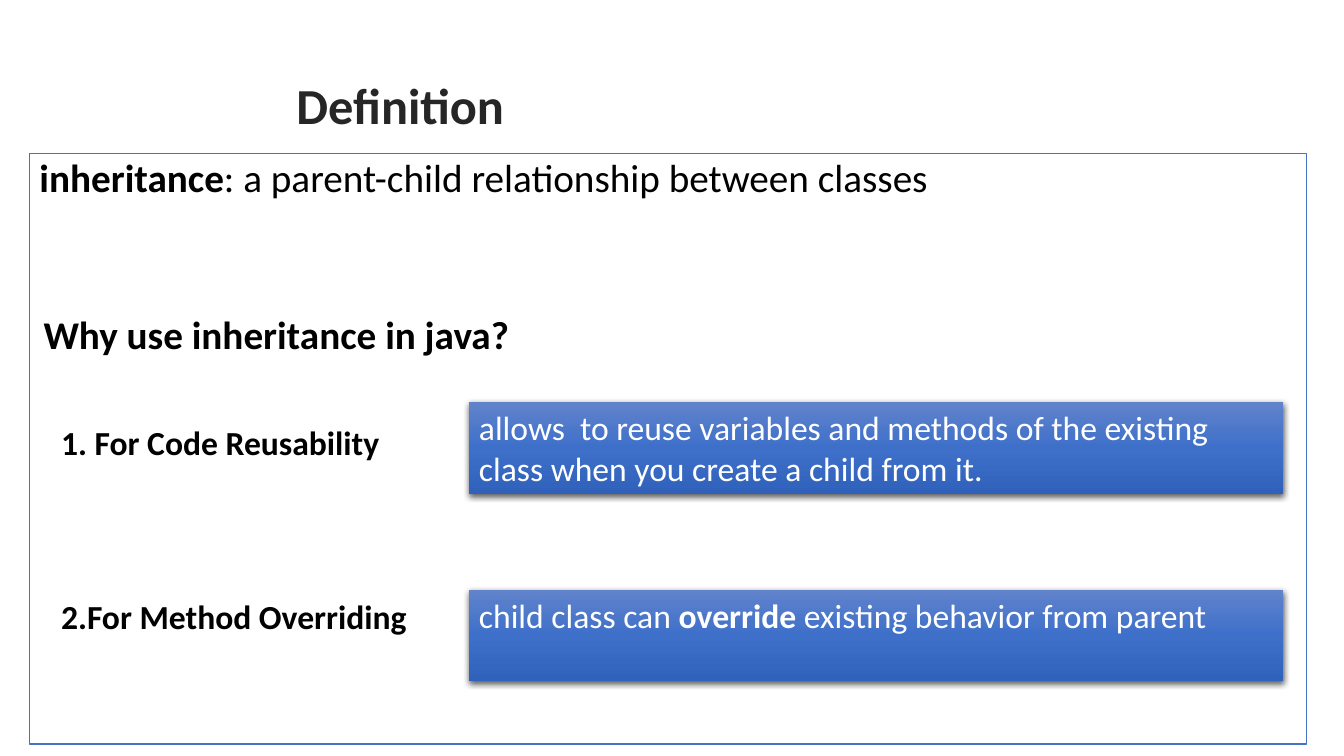
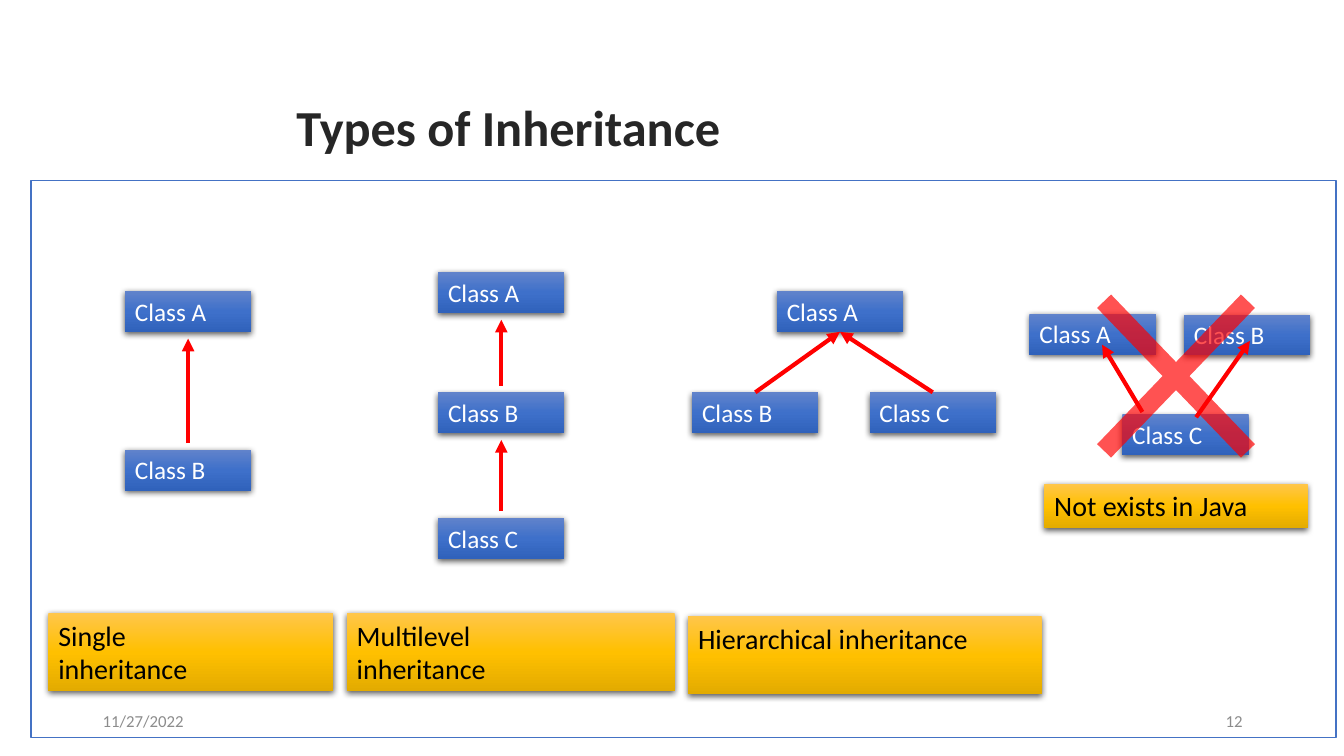
from copy import deepcopy
from dataclasses import dataclass

from lxml.etree import SubElement
from pptx import Presentation
from pptx.dml.color import RGBColor
from pptx.enum.shapes import MSO_CONNECTOR, MSO_SHAPE
from pptx.enum.text import MSO_ANCHOR, PP_ALIGN
from pptx.oxml.ns import qn
from pptx.util import Inches, Pt

SLIDE_WIDTH = Inches(13.33)
SLIDE_HEIGHT = Inches(7.5)
TITLE_ONLY = 5
TOP, BOTTOM = 0, 2

# Lengths are percentages of the slide's width and height.
CLASS_WIDTH, CLASS_HEIGHT = 9.4, 5.4
CAPTION_HEIGHT = 10.3
ARROW_GAP = 0.9


@dataclass(frozen=True)
class Theme:
    font: str = "Calibri"
    title_color: str = "262626"
    text: str = "000000"
    light: str = "FFFFFF"
    muted: str = "8C8C8C"
    border: str = "4472C4"
    accent: str = "FF0000"
    blue: tuple = ("6183CB", "3E70CA", "3062BB")
    gold: tuple = ("FFC64B", "FFC000", "E3AB00")
    title_size: int = 36
    heading_size: int = 28
    body_size: int = 24
    caption_size: int = 20
    class_size: int = 18
    footer_size: int = 12


THEME = Theme()


def rgb(color):
    return RGBColor.from_string(color)


def across(share):
    return round(SLIDE_WIDTH * share / 100)


def down(share):
    return round(SLIDE_HEIGHT * share / 100)


def place(area):
    left, top, width, height = area
    return across(left), down(top), across(width), down(height)


def write(shape, text, size, color, bold=False, align=PP_ALIGN.LEFT,
          anchor=MSO_ANCHOR.TOP, line_spacing=None):
    """Fill a shape with text: one paragraph a line, ** around bold words."""
    frame = shape.text_frame
    frame.word_wrap = True
    frame.vertical_anchor = anchor
    for index, line in enumerate(text.split("\n")):
        paragraph = frame.add_paragraph() if index else frame.paragraphs[0]
        paragraph.alignment = align
        paragraph.line_spacing = line_spacing
        font = paragraph.font
        font.name, font.size, font.bold = THEME.font, Pt(size), bold
        font.color.rgb = rgb(color)
        for part, words in enumerate(line.split("**")):
            if words:
                run = paragraph.add_run()
                run.text = words
                if part % 2:
                    run.font.bold = True


def add_titled_slide(presentation, title, top):
    slide = presentation.slides.add_slide(presentation.slide_layouts[TITLE_ONLY])
    shape = slide.shapes.title
    shape.left, shape.top, shape.width, shape.height = place((21.3, top, 73.1, 18.7))
    write(shape, title, THEME.title_size, THEME.title_color, bold=True)
    return slide


def add_label(slide, area, text, size, color=THEME.text, **style):
    write(slide.shapes.add_textbox(*place(area)), text, size, color, **style)


def add_plain_shape(slide, area, preset=MSO_SHAPE.RECTANGLE):
    shape = slide.shapes.add_shape(preset, *place(area))
    shape.shadow.inherit = False
    shape.line.fill.background()
    return shape


def add_frame(slide, area):
    frame = add_plain_shape(slide, area)
    frame.fill.solid()
    frame.fill.fore_color.rgb = rgb(THEME.light)
    frame.line.color.rgb = rgb(THEME.border)
    frame.line.width = Pt(1)
    return frame


def add_shadow(shape):
    effects = shape._element.spPr.find(qn("a:effectLst"))
    shadow = SubElement(effects, qn("a:outerShdw"), blurRad=str(Pt(4.5)),
                        dist=str(Pt(1.5)), dir="5400000", rotWithShape="0")
    color = SubElement(shadow, qn("a:srgbClr"), val="000000")
    SubElement(color, qn("a:alpha"), val="63000")


def add_glossy_box(slide, area, text, size, gradient, color):
    box = add_plain_shape(slide, area)
    box.fill.gradient()
    box.fill.gradient_angle = 270
    stops = box._element.spPr.find(qn("a:gradFill")).find(qn("a:gsLst"))
    stops.append(deepcopy(stops[-1]))
    for stop, position, stop_color in zip(box.fill.gradient_stops, (0, 0.5, 1), gradient):
        stop.position = position
        stop.color.rgb = rgb(stop_color)
    add_shadow(box)
    write(box, text, size, color)
    return box


def add_class(slide, left, top, letter):
    return add_glossy_box(slide, (left, top, CLASS_WIDTH, CLASS_HEIGHT),
                          f"Class {letter}", THEME.class_size, THEME.blue, THEME.light)


def add_caption(slide, area, text):
    add_glossy_box(slide, area, text, THEME.caption_size, THEME.gold, THEME.text)


def add_arrow(slide, start=(0, 0), end=(0, 0)):
    arrow = slide.shapes.add_connector(
        MSO_CONNECTOR.STRAIGHT, across(start[0]), down(start[1]),
        across(end[0]), down(end[1]))
    arrow.line.color.rgb = rgb(THEME.accent)
    arrow.line.width = Pt(3)
    SubElement(arrow.line._get_or_add_ln(), qn("a:tailEnd"), type="triangle")
    SubElement(arrow._element.spPr, qn("a:effectLst"))
    return arrow


def add_chain(slide, left, tops):
    """Stack classes A, B, ... with an arrow from each child up to its parent."""
    for letter, top in zip("ABC", tops):
        add_class(slide, left, top, letter)
    middle = left + CLASS_WIDTH / 2
    for parent, child in zip(tops, tops[1:]):
        add_arrow(slide, (middle, child - ARROW_GAP),
                  (middle, parent + CLASS_HEIGHT + ARROW_GAP))


def add_hierarchy(slide):
    parent = add_class(slide, 57.8, 38.5, "A")
    for left, letter in ((51.5, "B"), (64.7, "C")):
        child = add_class(slide, left, 51.9, letter)
        arrow = add_arrow(slide)
        arrow.begin_connect(child, TOP)
        arrow.end_connect(parent, BOTTOM)


def add_crossed_out_multiple(slide):
    for left, top, letter in ((76.6, 41.5, "A"), (88.1, 41.6, "B"), (83.5, 54.8, "C")):
        add_class(slide, left, top, letter)
    add_arrow(slide, (85, 54.5), (82, 45.6))
    add_arrow(slide, (89, 55.2), (93, 45.1))
    cross = add_plain_shape(slide, (77.2, 30.7, 20.6, 38.1), MSO_SHAPE.MATH_MULTIPLY)
    cross.adjustments[0] = 0.07
    cross.fill.solid()
    cross.fill.fore_color.rgb = rgb(THEME.accent)
    color = cross._element.spPr.find(qn("a:solidFill"))[0]
    SubElement(color, qn("a:alpha"), val="68000")


def add_footer(slide, date, number):
    for left, text, align in ((6.9, date, PP_ALIGN.LEFT), (70.7, number, PP_ALIGN.RIGHT)):
        add_label(slide, (left, 92.7, 22.5, 5.3), text, THEME.footer_size, THEME.muted,
                  align=align, anchor=MSO_ANCHOR.MIDDLE)


def build_definition(presentation):
    slide = add_titled_slide(presentation, "Definition", 9.1)
    frame = add_frame(slide, (2.2, 20.3, 95, 78.1))
    write(frame, "**inheritance**: a parent-child relationship between classes",
          THEME.heading_size, THEME.text, line_spacing=0.9)
    add_label(slide, (2.5, 40.4, 64.4, 7.6), "Why use inheritance in java?",
              THEME.heading_size, bold=True)
    reasons = (
        (55.1, "1. For Code Reusability", 53.2,
         "allows  to reuse variables and methods of the existing class "
         "when you create a child from it."),
        (78.1, "2.For Method Overriding", 78,
         "child class can **override** existing behavior from parent"),
    )
    for label_top, label, box_top, explanation in reasons:
        add_label(slide, (3.8, label_top, 30.6, 15.7), label, THEME.body_size, bold=True)
        add_glossy_box(slide, (34.9, box_top, 60.6, 12.1), explanation,
                       THEME.body_size, THEME.blue, THEME.light)


def build_types(presentation):
    slide = add_titled_slide(presentation, "Types of Inheritance", 12.1)
    add_frame(slide, (2.3, 23.9, 97.1, 73.7))
    add_footer(slide, "11/27/2022", "12")
    add_chain(slide, 9.3, (38.5, 59.5))
    add_chain(slide, 32.6, (36, 51.9, 68.5))
    add_hierarchy(slide)
    add_crossed_out_multiple(slide)
    captions = (
        (3.6, 81.1, 21.2, "Single\ninheritance"),
        (25.8, 81.1, 24.4, "Multilevel\ninheritance"),
        (51.2, 81.5, 26.3, "Hierarchical inheritance"),
    )
    for left, top, width, text in captions:
        add_caption(slide, (left, top, width, CAPTION_HEIGHT), text)
    add_caption(slide, (77.7, 64, 19.6, 5.9), "Not exists in Java")


def main():
    presentation = Presentation()
    presentation.slide_width = SLIDE_WIDTH
    presentation.slide_height = SLIDE_HEIGHT
    build_definition(presentation)
    build_types(presentation)
    presentation.save("out.pptx")


if __name__ == "__main__":
    main()
